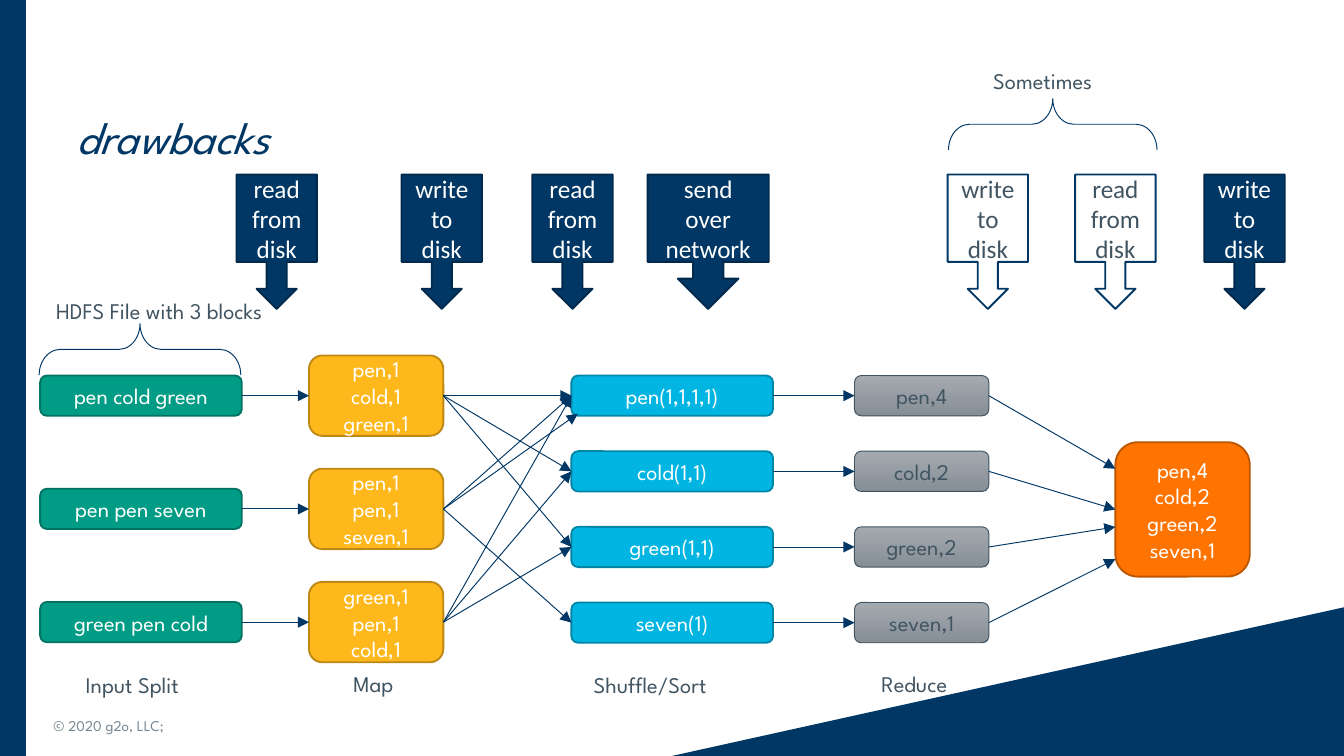
from lxml import etree
from pptx import Presentation
from pptx.dml.color import RGBColor
from pptx.enum.shapes import MSO_CONNECTOR, MSO_SHAPE
from pptx.enum.text import MSO_ANCHOR, PP_ALIGN
from pptx.oxml.ns import qn
from pptx.util import Cm, Pt

ROUND, BRACE = MSO_SHAPE.ROUNDED_RECTANGLE, MSO_SHAPE.LEFT_BRACE
RECT, WEDGE = MSO_SHAPE.RECTANGLE, MSO_SHAPE.ISOSCELES_TRIANGLE
CALL = MSO_SHAPE.DOWN_ARROW_CALLOUT
STRAIGHT = MSO_CONNECTOR.STRAIGHT
MIDDLE = MSO_ANCHOR.MIDDLE
LEFT, CENTER = PP_ALIGN.LEFT, PP_ALIGN.CENTER
TOP_SIDE, LEFT_SIDE, RIGHT_SIDE = 0, 1, 3


class Theme:
    navy, deep, white = "003765", "00294B", "FFFFFF"
    slate, mist = "415462", "758691"
    green, amber = ("009C85", "007362"), ("FFB81C", "BD8815")
    cyan, flame = ("00B5E1", "0086A6"), ("FF7400", "BD5600")
    steel = ("A5AAB0", "868E96")
    font, plain = "League Spartan", "Calibri"
    title, body, note, call = 24, 12, 8, 13.5
    thin, bold = 0.5, 1


prs = Presentation()
prs.slide_width, prs.slide_height = Cm(25.4), Cm(14.29)
slide = prs.slides.add_slide(prs.slide_layouts[6])
shapes = slide.shapes


def draw(kind, x, y, w, h, fill=None, edge=None, width=Theme.bold):
    shape = shapes.add_shape(kind, Cm(x), Cm(y), Cm(w), Cm(h))
    shape.shadow.inherit = False
    if fill:
        shape.fill.solid()
        shape.fill.fore_color.rgb = RGBColor.from_string(fill)
    else:
        shape.fill.background()
    if edge:
        shape.line.color.rgb = RGBColor.from_string(edge)
        shape.line.width = Pt(width)
    else:
        shape.line.fill.background()
    return shape


def write(shape, lines, color, size=Theme.body, font=Theme.font, align=CENTER):
    """Fill a shape with one paragraph per line; a newline is a soft break."""
    frame = shape.text_frame
    for i, line in enumerate(lines):
        para = frame.add_paragraph() if i else frame.paragraphs[0]
        para.alignment = align
        for j, part in enumerate(line.split("\n")):
            if j:
                para.add_line_break()
            run = para.add_run()
            run.text = part
            run.font.size, run.font.name = Pt(size), font
            run.font.color.rgb = RGBColor.from_string(color)
    return frame


# Backdrop, title and footer
wedge = draw(WEDGE, 12.7, 11.48, 12.7, 2.81, Theme.navy)
wedge.adjustments[0] = 1
draw(RECT, 0, 0, 0.49, 14.29, Theme.navy)

title = shapes.add_textbox(Cm(1.19), Cm(1.5), Cm(23.22), Cm(2.01))
frame = write(title, ["drawbacks"], Theme.navy, Theme.title, align=LEFT)
frame.word_wrap, frame.vertical_anchor = True, MIDDLE
para = frame.paragraphs[0]
para.line_spacing, para.space_after = 1.14, Pt(6)
para.runs[0].font.italic = True

foot = shapes.add_textbox(Cm(0.76), Cm(13.34), Cm(6.76), Cm(0.76))
frame = write(foot, ["© 2020 g2o, LLC;"], Theme.mist, Theme.note, align=LEFT)
frame.word_wrap, frame.vertical_anchor = True, MIDDLE

# Stages of boxes: left, width, height, row pitch, colours, text colour, words
FIRST = 7.48
stages = [
    (0.76, 3.81, 0.76, 2.14, Theme.green, Theme.white,
     [["pen cold green"], ["pen pen seven"], ["green pen cold"]]),
    (5.84, 2.54, 1.52, 2.14, Theme.amber, Theme.white,
     [["pen,1", "cold,1", "green,1"], ["pen,1", "pen,1", "seven,1"],
      ["green,1", "pen,1", "cold,1"]]),
    (10.8, 3.81, 0.76, 1.43, Theme.cyan, Theme.white,
     [["pen(1,1,1,1)"], ["cold(1,1)"], ["green(1,1)"], ["seven(1)"]]),
    (16.15, 2.54, 0.76, 1.43, Theme.steel, Theme.slate,
     [["pen,4"], ["cold,2"], ["green,2"], ["seven,1"]]),
    (21.08, 2.54, 2.54, 0, Theme.flame, Theme.white,
     [["pen,4", "cold,2", "green,2", "seven,1"]]),
]
grid = []
for x, w, h, pitch, (fill, edge), color, words in stages:
    column = []
    for row, lines in enumerate(words):
        mid = FIRST + pitch * row if pitch else 9.63
        box = draw(ROUND, x, mid - h / 2, w, h, fill, edge)
        if fill == Theme.steel[0]:
            box.fill.gradient()
            box.fill.gradient_angle = 270
            for stop, tone in zip(box.fill.gradient_stops, Theme.steel):
                stop.color.rgb = RGBColor.from_string(tone)
            box.line.color.rgb = RGBColor.from_string(Theme.slate)
            box.line.width = Pt(Theme.thin)
        write(box, lines, color).vertical_anchor = MIDDLE
        column.append(box)
    grid.append(column)
split, maps, sort, reduce, (result,) = grid

# Arrows: start box, joined box or None, free end
links = [(a, b, None) for a, b in zip(split + sort, maps + reduce)]
for start, goals in zip(maps, [(0, 1, 2), (0, 3), (0, 1, 2)]):
    links += [(start, sort[goal], None) for goal in goals]
links += [
    (maps[1], None, (10.92, 7.82)),
    (reduce[0], None, (21.08, 8.86)),
    (reduce[1], result, None),
    (reduce[2], None, (21.08, 9.96)),
    (reduce[3], None, (21.08, 10.57)),
]
for start, goal, spot in links:
    x, y = spot or (0, 0)
    link = shapes.add_connector(STRAIGHT, 0, 0, Cm(x), Cm(y))
    link.begin_connect(start, RIGHT_SIDE)
    if goal:
        link.end_connect(goal, LEFT_SIDE)
    link.line.color.rgb = RGBColor.from_string(Theme.navy)
    link.line.width = Pt(Theme.thin)
    etree.SubElement(link.line._get_or_add_ln(), qn("a:tailEnd"), type="triangle")
    etree.SubElement(link._element.spPr, qn("a:effectLst"))

# Labels
for x, y, w, text in [
    (1.37, 12.56, 2.57, "Input Split"),
    (6.43, 12.55, 1.35, "Map"),
    (10.97, 12.56, 3.02, "Shuffle/Sort"),
    (16.41, 12.55, 2.03, "Reduce"),
    (0.81, 5.49, 5.16, "HDFS File with 3 blocks"),
    (18.52, 1.14, 2.74, "Sometimes"),
]:
    label = shapes.add_textbox(Cm(x), Cm(y), Cm(w), Cm(0.76))
    write(label, [text], Theme.slate, align=LEFT).word_wrap = False

for x, y, h in [(2.16, 4.7, 3.81), (19.41, 0.38, 3.94)]:
    brace = draw(BRACE, x, y, 0.97, h, edge=Theme.navy, width=Theme.thin)
    brace.adjustments[0], brace.adjustments[1] = 0.41, 0.5
    brace.rotation = 90

# Callouts for disk and network costs
READ, WRITE, SEND = "read\nfrom\ndisk", "write\nto\ndisk", "send\nover\nnetwork"
solid = (Theme.navy, Theme.deep, Theme.white)
hollow = (Theme.white, Theme.navy, Theme.slate)
for x, w, text, (fill, edge, color) in [
    (4.47, 1.52, READ, solid),
    (7.59, 1.52, WRITE, solid),
    (10.06, 1.52, READ, solid),
    (12.24, 2.29, SEND, solid),
    (17.91, 1.52, WRITE, hollow),
    (20.32, 1.52, READ, hollow),
    (22.76, 1.52, WRITE, solid),
]:
    call = draw(CALL, x, 3.3, w, 2.54, fill, edge)
    frame = write(call, [text], color, Theme.call, Theme.plain)
    frame.vertical_anchor = MIDDLE

prs.save("out.pptx")
